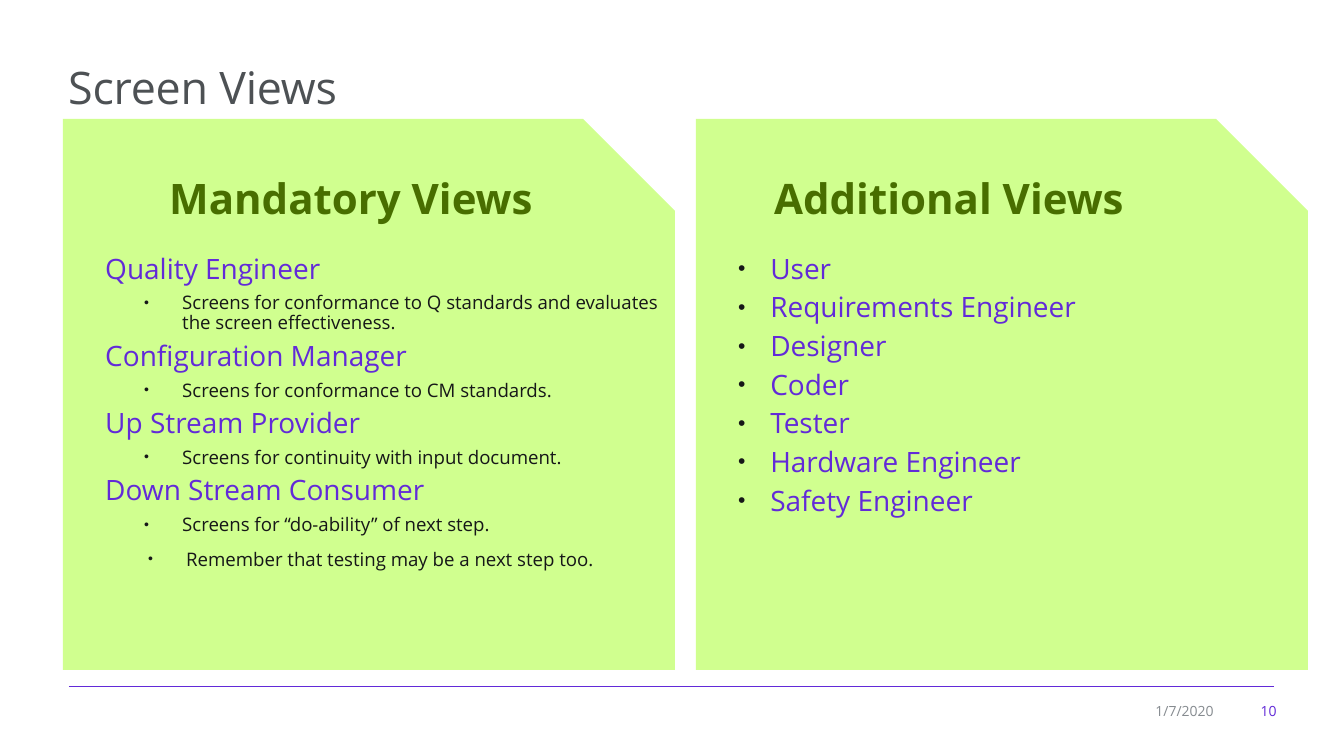
from dataclasses import dataclass

from lxml import etree
from pptx import Presentation, util as u
from pptx.dml.color import RGBColor
from pptx.enum import shapes, text
from pptx.oxml import ns


@dataclass(frozen=True)
class Theme:
    font: str = "Open Sans"
    panel: str = "D0FF8F"
    heading: str = "486E00"
    accent: str = "622AD8"
    title: str = "4D5154"
    body: str = "161718"
    muted: str = "868B90"
    title_size: float = 38.4
    heading_size: int = 36
    role_size: int = 24
    detail_size: int = 16
    footer_size: int = 12
    tight: float = 0.9
    loose: float = 1.17
    space_after: float = 7.2


THEME = Theme()
PX_PER_INCH = 84

MANDATORY = [
    ("Quality Engineer", "role"),
    ("Screens for conformance to Q standards and evaluates the screen effectiveness.", "detail"),
    ("Configuration Manager", "role"),
    ("Screens for conformance to CM standards.", "detail"),
    ("Up Stream Provider", "role"),
    ("Screens for continuity with input document.", "detail"),
    ("Down Stream Consumer", "role"),
    ("Screens for “do-ability” of next step.", "detail"),
    ("Remember that testing may be a next step too.", "reminder"),
]
ADDITIONAL = [
    (role, "bulleted role")
    for role in ("User", "Requirements Engineer", "Designer", "Coder",
                 "Tester", "Hardware Engineer", "Safety Engineer")
]
ITEM_STYLES = {
    "role": (1, 0, 0, THEME.role_size, THEME.accent, THEME.tight),
    "bulleted role": (1, 32, 32, THEME.role_size, THEME.accent, THEME.tight),
    "detail": (0, 77, 38, THEME.detail_size, THEME.body, THEME.tight),
    "reminder": (1, 81, 38, THEME.detail_size, THEME.body, THEME.loose),
}


def px(length):
    return u.Inches(length / PX_PER_INCH)


def style_font(paragraph, size, color, bold=False):
    font = paragraph.font
    font.name = THEME.font
    font.size = u.Pt(size)
    font.bold = bold
    font.color.rgb = RGBColor.from_string(color)


def add_frame(slide, box, anchor):
    frame = slide.shapes.add_textbox(*map(px, box)).text_frame
    frame.word_wrap = True
    frame.vertical_anchor = anchor
    return frame


def add_label(slide, box, wording, size, color, bold=False, align=text.PP_ALIGN.LEFT):
    paragraph = add_frame(slide, box, text.MSO_ANCHOR.MIDDLE).paragraphs[0]
    paragraph.text = wording
    paragraph.alignment = align
    style_font(paragraph, size, color, bold)
    return paragraph


def add_bullet(properties):
    color = etree.SubElement(properties, ns.qn("a:buClr"))
    etree.SubElement(color, ns.qn("a:srgbClr"), val=THEME.body)
    etree.SubElement(properties, ns.qn("a:buSzPct"), val="75000")
    etree.SubElement(properties, ns.qn("a:buFont"), typeface="Arial")
    etree.SubElement(properties, ns.qn("a:buChar"), char="•")


def add_items(slide, box, items):
    frame = add_frame(slide, box, text.MSO_ANCHOR.TOP)
    for index, (wording, kind) in enumerate(items):
        level, margin, hanging, size, color, spacing = ITEM_STYLES[kind]
        paragraph = frame.add_paragraph() if index else frame.paragraphs[0]
        paragraph.text = wording
        paragraph.level = level
        properties = paragraph._p.get_or_add_pPr()
        properties.set("marL", str(px(margin)))
        properties.set("indent", str(-px(hanging)))
        if hanging:
            add_bullet(properties)
        paragraph.line_spacing = spacing
        paragraph.space_after = u.Pt(THEME.space_after)
        style_font(paragraph, size, color)


def add_title(slide, box):
    paragraph = add_label(slide, box, "Screen Views", THEME.title_size, THEME.title)
    paragraph.runs[0]._r.get_or_add_rPr().set("spc", "-20")


def add_panel(slide, box, heading, heading_offset, items):
    left, top, width, height = box
    panel = slide.shapes.add_shape(shapes.MSO_SHAPE.SNIP_1_RECTANGLE, *map(px, box))
    panel.shadow.inherit = False
    panel.fill.solid()
    panel.fill.fore_color.rgb = RGBColor.from_string(THEME.panel)
    panel.line.fill.background()
    add_label(slide, (left + heading_offset, top + 49, 436, 60), heading,
              THEME.heading_size, THEME.heading, bold=True)
    add_items(slide, (left + 34, top + 132, width - 23, 370), items)


def add_footer(slide, box):
    left, top, width, height = box
    right = left + width
    rule = slide.shapes.add_connector(
        shapes.MSO_CONNECTOR.STRAIGHT, px(left), px(top), px(right), px(top))
    rule.line.color.rgb = RGBColor.from_string(THEME.accent)
    rule.line.width = u.Pt(0.75)
    etree.SubElement(rule._element.spPr, ns.qn("a:effectLst"))
    for label_left, label_width, wording, color in (
        (right - 148, 96, "1/7/2020", THEME.muted),
        (right - 41, 52, "10", THEME.accent),
    ):
        add_label(slide, (label_left, top + 12, label_width, 26), wording,
                  THEME.footer_size, color, align=text.PP_ALIGN.RIGHT)


def main():
    presentation = Presentation()
    presentation.slide_width = px(1344)
    presentation.slide_height = px(756)
    slide = presentation.slides.add_slide(presentation.slide_layouts[6])
    add_footer(slide, (69, 686, 1205, 40))
    add_panel(slide, (63, 119, 612, 551), "Mandatory Views", 98, MANDATORY)
    add_panel(slide, (696, 119, 612, 551), "Additional Views", 70, ADDITIONAL)
    add_title(slide, (60, 55, 1226, 63))
    presentation.save("out.pptx")


if __name__ == "__main__":
    main()
